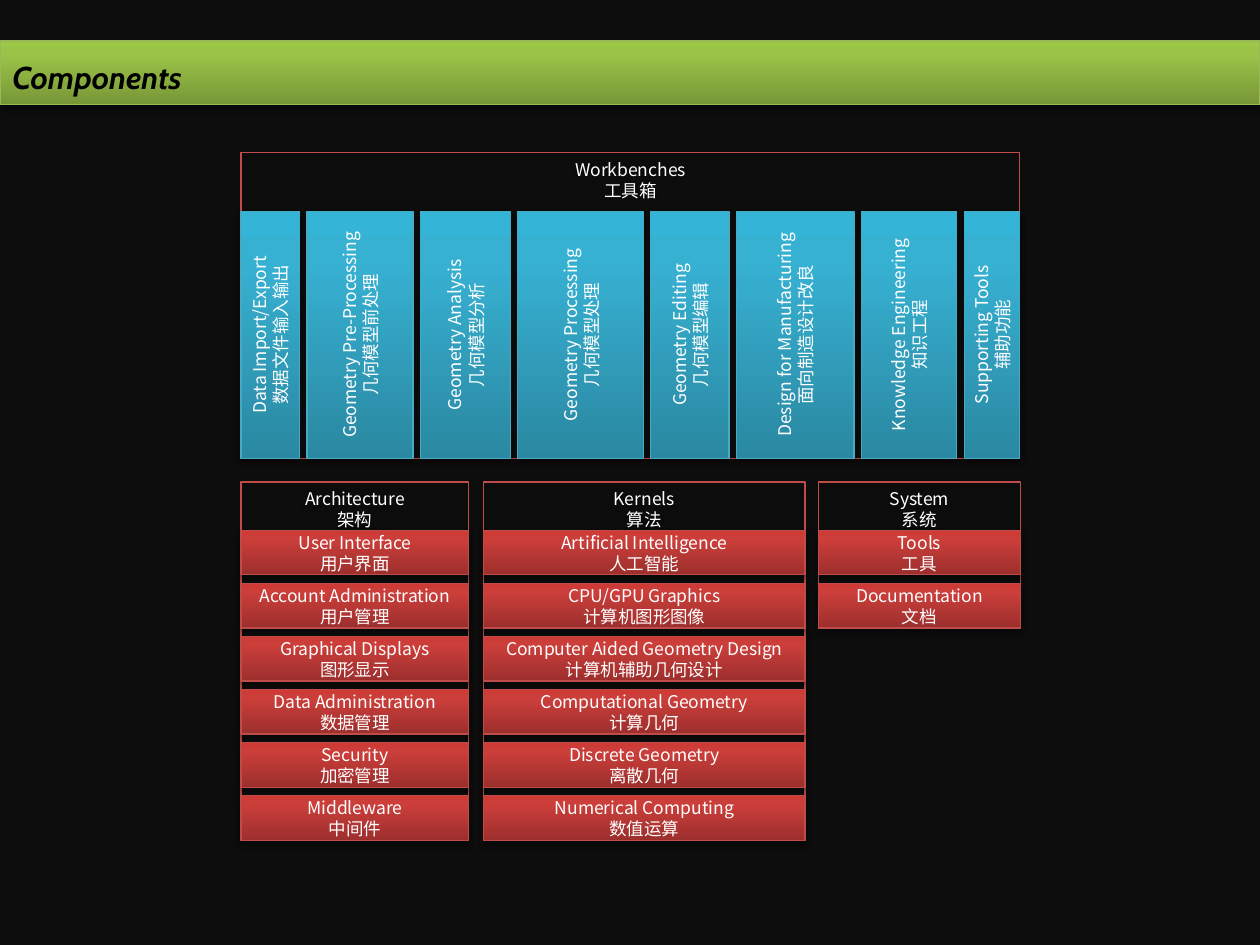
from copy import deepcopy
from lxml import etree
from pptx import Presentation
from pptx.dml.color import RGBColor
from pptx.enum.shapes import MSO_SHAPE
from pptx.enum.text import MSO_ANCHOR as ANCHOR, PP_ALIGN as ALIGN
from pptx.oxml.ns import qn
from pptx.util import Cm, Pt

BLACK = RGBColor(0x00, 0x00, 0x00)
WHITE = RGBColor(0xFF, 0xFF, 0xFF)
BACKGROUND = RGBColor(0x0D, 0x0D, 0x0D)
GREEN_LINE = RGBColor(0x98, 0xB9, 0x55)
RED_LINE = RGBColor(0xBF, 0x4C, 0x48)
BLUE_LINE = RGBColor(0x46, 0xAA, 0xC5)

# Gradient colours, from bottom to top
GREENS = (RGBColor(0x77, 0x97, 0x37), RGBColor(0x9B, 0xC3, 0x48), RGBColor(0x9D, 0xC7, 0x46))
REDS = (RGBColor(0x9C, 0x2F, 0x2D), RGBColor(0xCB, 0x3E, 0x3A), RGBColor(0xCE, 0x3B, 0x37))
BLUES = (RGBColor(0x2A, 0x88, 0xA2), RGBColor(0x37, 0xB1, 0xD2), RGBColor(0x34, 0xB4, 0xD6))
STOPS = (0, 0.8, 1)

TITLE_FONT = {"name": "Cabin", "size": Pt(18), "bold": True, "italic": True}
LABEL_FONT = {"name": "Noto Sans CJK SC", "size": Pt(10)}

# Layout in centimetres
LEFT, BENCH_TOP, BENCH_WIDTH, BENCH_HEIGHT = 4.86, 3.08, 15.7, 6.16
BAR_TOP, BAR_HEIGHT, BAR_GAP = 4.26, 4.98, 0.15
GROUP_TOP, ROW_TOP, ROW_HEIGHT, ROW_GAP = 9.72, 10.69, 0.9, 0.17

BENCHES = [
    (1.18, "Data Import/Export", "数据文件输入输出"),
    (2.14, "Geometry Pre-Processing", "几何模型前处理"),
    (1.81, "Geometry Analysis", "几何模型分析"),
    (2.53, "Geometry Processing", "几何模型处理"),
    (1.58, "Geometry Editing", "几何模型编辑"),
    (2.37, "Design for Manufacturing", "面向制造设计改良"),
    (1.92, "Knowledge Engineering", "知识工程"),
    (1.12, "Supporting Tools", "辅助功能"),
]
GROUPS = [
    (LEFT, 4.59, ("Architecture", "架构"), [
        ("User Interface", "用户界面"),
        ("Account Administration", "用户管理"),
        ("Graphical Displays", "图形显示"),
        ("Data Administration", "数据管理"),
        ("Security", "加密管理"),
        ("Middleware", "中间件"),
    ]),
    (9.75, 6.48, ("Kernels", "算法"), [
        ("Artificial Intelligence", "人工智能"),
        ("CPU/GPU Graphics", "计算机图形图像"),
        ("Computer Aided Geometry Design", "计算机辅助几何设计"),
        ("Computational Geometry", "计算几何"),
        ("Discrete Geometry", "离散几何"),
        ("Numerical Computing", "数值运算"),
    ]),
    (16.5, 4.07, ("System", "系统"), [
        ("Tools", "工具"),
        ("Documentation", "文档"),
    ]),
]


def set_gradient(sp, colors):
    fill = sp.fill
    fill.gradient()
    fill.gradient_angle = 90
    stop_list = next(sp._element.spPr.iter(qn("a:gsLst")))
    stop_list.append(deepcopy(stop_list[-1]))
    for stop, position, color in zip(fill.gradient_stops, STOPS, colors):
        stop.position = position
        stop.color.rgb = color


def add_shadow(sp):
    sp.shadow.inherit = False
    effects = sp._element.spPr.find(qn("a:effectLst"))
    shadow = etree.SubElement(effects, qn("a:outerShdw"), blurRad=str(Pt(3.1)),
                              dist=str(Pt(1.8)), dir="5400000", rotWithShape="0")
    color = etree.SubElement(shadow, qn("a:srgbClr"), val=str(BLACK))
    etree.SubElement(color, qn("a:alpha"), val="35000")


def write_lines(tf, lines, font, color, align):
    for i, line in enumerate(lines):
        p = tf.add_paragraph() if i else tf.paragraphs[0]
        p.alignment = align
        r = p.add_run()
        r.text = line
        for name, value in font.items():
            setattr(r.font, name, value)
        r.font.color.rgb = color
        etree.SubElement(r.font._element, qn("a:ea"), typeface=font["name"])


def add_box(slide, box, lines, line_color, colors=None, anchor=ANCHOR.MIDDLE,
            font=LABEL_FONT, color=WHITE, align=ALIGN.CENTER):
    sp = slide.shapes.add_shape(MSO_SHAPE.RECTANGLE, *map(Cm, box))
    if colors:
        set_gradient(sp, colors)
    else:
        sp.fill.background()
    sp.line.color.rgb = line_color
    sp.line.width = Pt(0.75)
    add_shadow(sp)
    tf = sp.text_frame
    tf.word_wrap = True
    tf.vertical_anchor = anchor
    write_lines(tf, lines, font, color, align)
    return sp


def add_title(slide):
    sp = add_box(slide, (0, 0.83, 25.4, 1.28), ["Components"], GREEN_LINE, GREENS,
                 font=TITLE_FONT, color=BLACK, align=ALIGN.LEFT)
    sp.text_frame.paragraphs[0].line_spacing = 1.2


def add_workbenches(slide):
    add_box(slide, (LEFT, BENCH_TOP, BENCH_WIDTH, BENCH_HEIGHT),
            ("Workbenches", "工具箱"), RED_LINE, anchor=ANCHOR.TOP)
    x = LEFT
    for width, *lines in BENCHES:
        sp = add_box(slide, (x, BAR_TOP, width, BAR_HEIGHT), lines, BLUE_LINE, BLUES)
        sp.text_frame._txBody.bodyPr.set("vert", "vert270")
        x += width + BAR_GAP


def add_group(slide, x, width, heading, rows):
    pitch = ROW_HEIGHT + ROW_GAP
    height = ROW_TOP - GROUP_TOP + len(rows) * pitch - ROW_GAP
    add_box(slide, (x, GROUP_TOP, width, height), heading, RED_LINE, anchor=ANCHOR.TOP)
    for i, lines in enumerate(rows):
        add_box(slide, (x, ROW_TOP + i * pitch, width, ROW_HEIGHT), lines, RED_LINE, REDS)


def main():
    prs = Presentation()
    prs.slide_width, prs.slide_height = Cm(25.4), Cm(19.05)
    slide = prs.slides.add_slide(prs.slide_layouts[6])
    slide.background.fill.solid()
    slide.background.fill.fore_color.rgb = BACKGROUND

    add_title(slide)
    add_workbenches(slide)
    for group in GROUPS:
        add_group(slide, *group)
    prs.save("out.pptx")


main()
